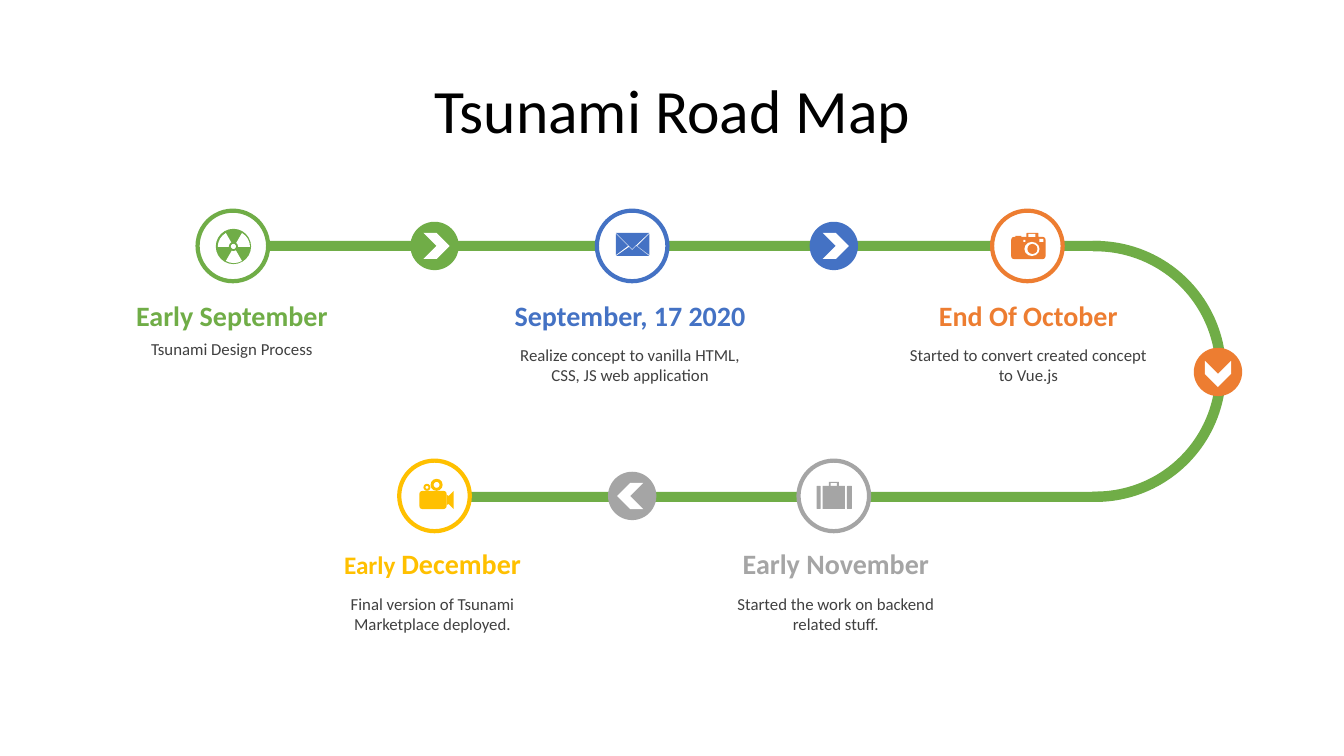
"""Build the Tsunami road map slide: a winding road with five milestones."""
import dataclasses
import math
import typing

import pptx
import pptx.dml.color
import pptx.enum.shapes
import pptx.enum.text
import pptx.util

PX = 9144
GREEN, BLUE, ORANGE, YELLOW, GRAY = "70AD47", "4472C4", "ED7D31", "FFC000", "A5A5A5"
WHITE, BLACK, DARK = "FFFFFF", "000000", "404040"
FONT = "Calibri"
NODE, DISC, CHEVRON = 70, 48, 26
TEXT_WIDTH = 260
KIND = pptx.enum.shapes.MSO_SHAPE
ALIGN = pptx.enum.text.PP_ALIGN
Point = tuple[int, int]


@dataclasses.dataclass(frozen=True)
class Mark:
    kind: typing.Any
    left: int
    top: int
    width: int
    height: int
    color: str
    adjustments: tuple[float, ...] = ()
    rotation: int = 0
    outline: str = ""


@dataclasses.dataclass(frozen=True)
class Outline:
    contours: tuple[tuple[Point, ...], ...]
    color: str


@dataclasses.dataclass(frozen=True)
class Arrow:
    left: int
    top: int
    color: str
    rotation: int = 0


@dataclasses.dataclass(frozen=True)
class Span:
    text: str
    size: int
    color: str
    bold: bool = False


@dataclasses.dataclass(frozen=True)
class Milestone:
    node: Point
    heading: Point
    detail_top: int
    color: str
    spans: tuple[tuple[str, int], ...]
    detail: str


ROAD = (
    Mark(KIND.BLOCK_ARC, 957, 239, 259, 259, GREEN, (161.274, 54.902, 0.04)),
    Mark(KIND.RECTANGLE, 265, 239, 827, 10, GREEN),
    Mark(KIND.RECTANGLE, 463, 488, 626, 10, GREEN),
)
ARROWS = (
    Arrow(407, 220, GREEN),
    Arrow(803, 220, BLUE),
    Arrow(603, 468, GRAY, 180),
    Arrow(1184, 345, ORANGE, 90),
)
MILESTONES = (
    Milestone((196, 209), (100, 291), 331, GREEN, (("Early September", 20),),
              "Tsunami Design Process"),
    Milestone((592, 209), (495, 291), 337, BLUE, (("September, 17 2020", 20),),
              "Realize concept to vanilla HTML, CSS, JS web application"),
    Milestone((984, 209), (890, 291), 337, ORANGE, (("End Of October", 20),),
              "Started to convert created concept to Vue.js"),
    Milestone((396, 457), (299, 537), 584, YELLOW, (("Early ", 18), ("December", 20)),
              "Final version of Tsunami Marketplace deployed."),
    Milestone((792, 457), (699, 537), 584, GRAY, (("Early November", 20),),
              "Started the work on backend related stuff."),
)
RADIATION = (
    Mark(KIND.OVAL, 214, 227, 35, 35, GREEN),
    *(Mark(KIND.PIE, 216, 229, 32, 32, WHITE, (start * 0.6, (start + 60) * 0.6))
      for start in (60, 180, 300)),
    Mark(KIND.OVAL, 227, 240, 9, 9, GREEN),
    Mark(KIND.OVAL, 229, 242, 5, 5, WHITE),
)
ENVELOPE = (
    Outline((
        ((631, 244), (644, 254), (611, 254), (624, 245), (627, 248)),
        ((644, 232), (644, 253), (632, 244)),
        ((611, 232), (623, 244), (611, 253)),
        ((611, 231), (644, 231), (627, 247)),
    ), BLUE),
)
CAMERA = (
    Mark(KIND.ROUNDED_RECTANGLE, 1003, 235, 34, 22, ORANGE, (0.13,)),
    Mark(KIND.RECTANGLE, 1007, 234, 6, 2, ORANGE),
    Mark(KIND.ROUNDED_RECTANGLE, 1018, 231, 12, 5, ORANGE),
    Mark(KIND.RECTANGLE, 1020, 232, 7, 3, WHITE),
    Mark(KIND.RECTANGLE, 1015, 238, 2, 2, WHITE),
    Mark(KIND.RECTANGLE, 1031, 237, 4, 3, WHITE),
    Mark(KIND.OVAL, 1016, 240, 15, 14, WHITE),
    Mark(KIND.OVAL, 1019, 242, 10, 10, ORANGE),
)
FILM_CAMERA = (
    Mark(KIND.ROUNDED_RECTANGLE, 416, 487, 27, 18, YELLOW),
    Mark(KIND.DONUT, 427, 475, 12, 12, YELLOW, (0.25,)),
    Mark(KIND.DONUT, 420, 480, 7, 7, YELLOW, (0.29,)),
    Outline((((443, 491), (445, 492), (450, 487), (450, 505), (445, 500), (443, 501)),),
            YELLOW),
)
SUITCASE = (
    Mark(KIND.ROUNDED_RECTANGLE, 810, 482, 4, 23, GRAY),
    Mark(KIND.RECTANGLE, 816, 482, 22, 23, GRAY),
    Mark(KIND.ROUNDED_RECTANGLE, 840, 482, 5, 23, GRAY),
    Outline((((822, 482), (822, 478), (832, 478), (832, 482),
              (830, 482), (830, 479), (824, 479), (824, 482)),), GRAY),
)
ICONS = (ENVELOPE, RADIATION, CAMERA, FILM_CAMERA, SUITCASE)


def paint(fill: typing.Any, color: str) -> None:
    """Give a fill one solid colour."""
    fill.solid()
    fill.fore_color.rgb = pptx.dml.color.RGBColor.from_string(color)


def set_all(target: typing.Any, values: dict[str, typing.Any]) -> None:
    """Set each named attribute on the target."""
    for name, value in values.items():
        setattr(target, name, value)


def draw_mark(shapes: typing.Any, mark: Mark) -> None:
    """Draw one preset shape."""
    shape = shapes.add_shape(
        mark.kind, *(n * PX for n in (mark.left, mark.top, mark.width, mark.height)))
    shape.shadow.inherit = False
    shape.rotation = mark.rotation
    for index, value in enumerate(mark.adjustments):
        shape.adjustments[index] = value
    paint(shape.fill, mark.color)
    if mark.outline:
        paint(shape.line.fill, mark.outline)
        shape.line.width = pptx.util.Pt(3)
    else:
        shape.line.fill.background()


def draw_outline(shapes: typing.Any, outline: Outline) -> None:
    """Draw one freeform from its closed contours."""
    first, *others = outline.contours
    builder = shapes.build_freeform(*first[0], scale=PX)
    builder.add_line_segments(first[1:], close=True)
    for contour in others:
        builder.move_to(*contour[0])
        builder.add_line_segments(contour[1:], close=True)
    shape = builder.convert_to_shape()
    shape.shadow.inherit = False
    paint(shape.fill, outline.color)
    shape.line.fill.background()


def draw_arrow(page: typing.Any, arrow: Arrow) -> None:
    """Draw a disc with a chevron pushed slightly along its direction."""
    shapes = page.shapes.add_group_shape().shapes
    angle = math.radians(arrow.rotation)
    inset = (DISC - CHEVRON) // 2
    left = arrow.left + inset + round(2 * math.cos(angle))
    top = arrow.top + inset + round(2 * math.sin(angle))
    draw_mark(shapes, Mark(KIND.OVAL, arrow.left, arrow.top, DISC, DISC, arrow.color))
    draw_mark(shapes, Mark(KIND.CHEVRON, left, top, CHEVRON, CHEVRON, WHITE,
                           rotation=arrow.rotation))


def write(para: typing.Any, spans: typing.Iterable[Span]) -> None:
    """Fill a centred paragraph with formatted spans."""
    para.alignment = ALIGN.CENTER
    for span in spans:
        run = para.add_run()
        run.text = span.text
        set_all(run.font, {"name": FONT, "size": pptx.util.Pt(span.size), "bold": span.bold})
        paint(run.font.fill, span.color)


def draw_text(page: typing.Any, left: int, top: int, height: int,
              spans: typing.Iterable[Span]) -> None:
    """Draw a wrapped text box that grows with its text."""
    box = page.shapes.add_textbox(*(n * PX for n in (left, top, TEXT_WIDTH, height)))
    set_all(box.text_frame, {
        "word_wrap": True,
        "auto_size": pptx.enum.text.MSO_AUTO_SIZE.SHAPE_TO_FIT_TEXT,
    })
    write(box.text_frame.paragraphs[0], spans)


def draw_milestone(page: typing.Any, stone: Milestone) -> None:
    """Draw a milestone's detail, heading and ring."""
    left, top = stone.heading
    height = 30 if stone.detail_top - top == 40 else 50
    draw_text(page, left, stone.detail_top, height, [Span(stone.detail, 12, DARK)])
    draw_text(page, left, top, 44,
              [Span(text, size, stone.color, True) for text, size in stone.spans])
    draw_mark(page.shapes, Mark(KIND.OVAL, *stone.node, NODE, NODE, WHITE,
                                outline=stone.color))


def main() -> None:
    """Build and save the deck."""
    deck = pptx.Presentation()
    set_all(deck, {"slide_width": 1333 * PX, "slide_height": 750 * PX})
    page = deck.slides.add_slide(deck.slide_layouts[5])
    title = page.shapes.title
    set_all(title, {"left": 92 * PX, "top": 40 * PX, "width": 1150 * PX, "height": 145 * PX})
    title.text_frame.vertical_anchor = pptx.enum.text.MSO_ANCHOR.MIDDLE
    heading = title.text_frame.paragraphs[0]
    heading.line_spacing = 0.9
    write(heading, [Span("Tsunami Road Map", 44, BLACK)])
    road = page.shapes.add_group_shape()
    for mark in ROAD:
        draw_mark(road.shapes, mark)
    for arrow in ARROWS:
        draw_arrow(page, arrow)
    for stone in MILESTONES:
        draw_milestone(page, stone)
    for icon in ICONS:
        group = page.shapes.add_group_shape()
        for part in icon:
            draw = draw_mark if isinstance(part, Mark) else draw_outline
            draw(group.shapes, part)
    deck.save("out.pptx")


if __name__ == "__main__":
    main()
